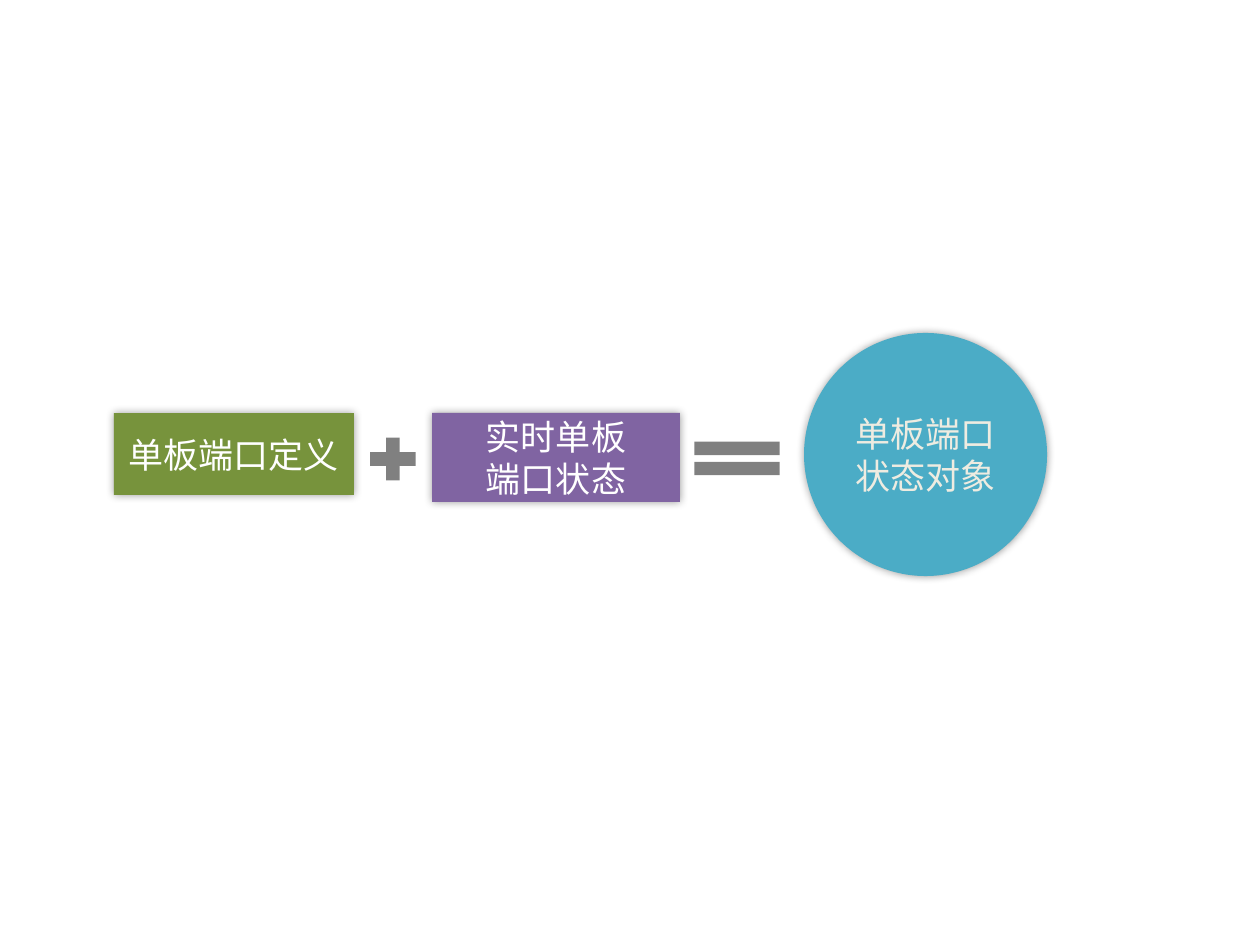
from lxml import etree
from pptx import Presentation
from pptx.dml.color import RGBColor
from pptx.enum.shapes import MSO_SHAPE
from pptx.enum.text import MSO_ANCHOR, PP_ALIGN
from pptx.oxml import parse_xml
from pptx.oxml.ns import nsdecls, qn
from pptx.util import Emu, Pt

# Content: preset, box in pixels, fill, text colour, paragraphs
FONT = "Noto Sans CJK SC"
PARTS = [
    (MSO_SHAPE.MATH_EQUAL, (679, 430, 116, 57), "808080", None, []),
    (MSO_SHAPE.MATH_PLUS, (362, 430, 62, 58), "808080", None, []),
    (MSO_SHAPE.RECTANGLE, (114, 413, 240, 82), "77933C", "FFFFFF", ["单板端口定义"]),
    (MSO_SHAPE.RECTANGLE, (432, 413, 248, 89), "8064A2", "FFFFFF", ["实时单板", "端口状态"]),
    (MSO_SHAPE.OVAL, (804, 333, 243, 243), "4BACC6", "EEECE1", ["单板端口状态对象"]),
]
SHADOW = (
    f'<a:effectLst {nsdecls("a")}><a:outerShdw blurRad="{Pt(5)}" dist="0" dir="0" '
    'algn="ctr" rotWithShape="0"><a:srgbClr val="000000"><a:alpha val="40000"/>'
    "</a:srgbClr></a:outerShdw></a:effectLst>"
)


def px(n):
    return Emu(round(n * 914400 / 126))


def rgb(color):
    return RGBColor.from_string(color)


def add_text(s, lines, color):
    tf = s.text_frame
    tf.word_wrap = True
    tf.vertical_anchor = MSO_ANCHOR.MIDDLE
    for i, line in enumerate(lines):
        p = tf.paragraphs[0] if i == 0 else tf.add_paragraph()
        p.alignment = PP_ALIGN.CENTER
        r = p.add_run()
        r.text = line
        r.font.size = Pt(20)
        r.font.name = FONT
        r.font.color.rgb = rgb(color)
        # East Asian typeface
        etree.SubElement(r.font._element, qn("a:ea")).set("typeface", FONT)


prs = Presentation()
prs.slide_width, prs.slide_height = px(1260), px(945)
slide = prs.slides.add_slide(prs.slide_layouts[6])
slide.background.fill.solid()
slide.background.fill.fore_color.rgb = rgb("FFFFFF")

# Operators first, then the labelled shapes with a soft shadow
for preset, box, fill, color, lines in PARTS:
    s = slide.shapes.add_shape(preset, *map(px, box))
    s.fill.solid()
    s.fill.fore_color.rgb = rgb(fill)
    s.line.fill.background()
    if lines:
        s._element.spPr.append(parse_xml(SHADOW))
        add_text(s, lines, color)
    else:
        s.shadow.inherit = False

prs.save("out.pptx")
